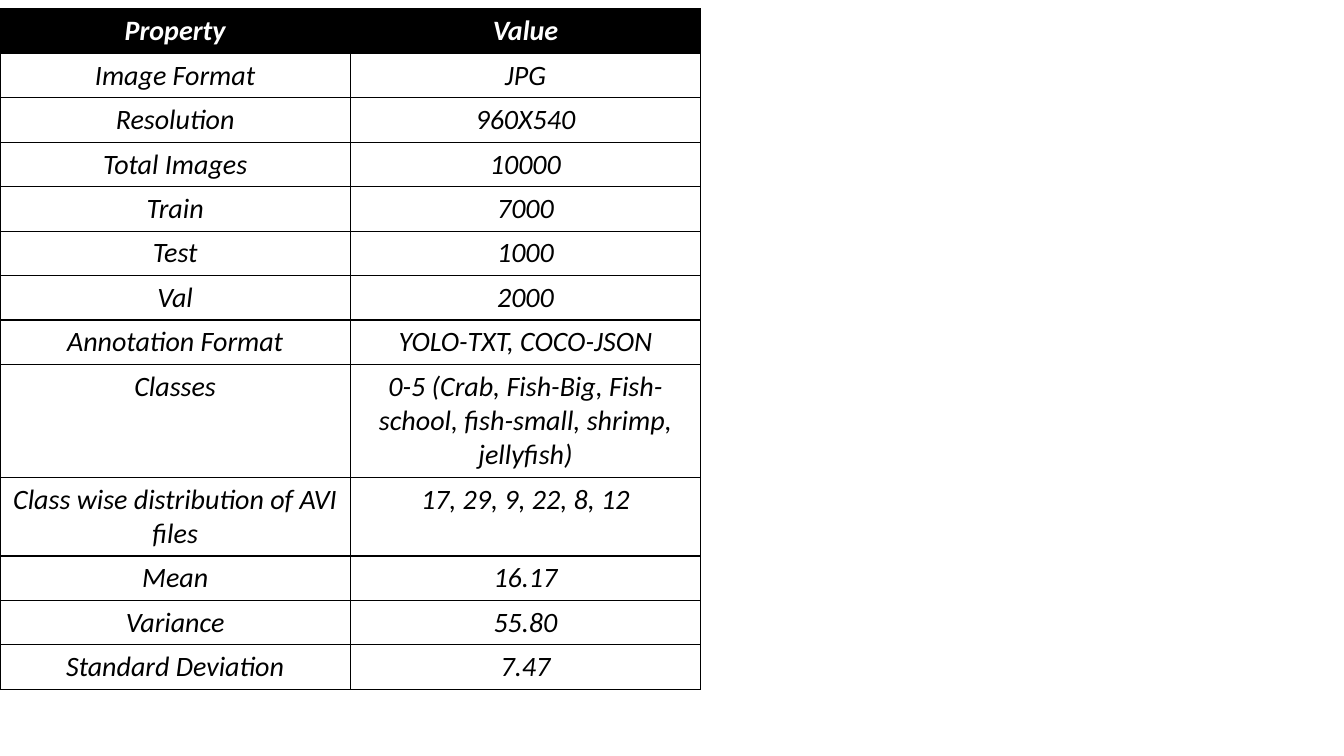
from lxml.etree import SubElement
from pptx import Presentation
from pptx.dml.color import RGBColor
from pptx.enum.text import PP_ALIGN
from pptx.oxml.ns import qn
from pptx.util import Inches, Pt

BLACK = RGBColor(0, 0, 0)
WHITE = RGBColor(255, 255, 255)
ROW, TALL = Inches(0.41), Inches(0.71)

FACTS = [
    ("Property", "Value"),
    ("Image Format", "JPG"),
    ("Resolution", "960X540"),
    ("Total Images", "10000"),
    ("Train", "7000"),
    ("Test", "1000"),
    ("Val", "2000"),
    ("Annotation Format", "YOLO-TXT, COCO-JSON"),
    ("Classes", "0-5 (Crab, Fish-Big, Fish-school, fish-small, shrimp, jellyfish)"),
    ("Class wise distribution of AVI files", "17, 29, 9, 22, 8, 12"),
    ("Mean", "16.17"),
    ("Variance", "55.80"),
    ("Standard Deviation", "7.47"),
]


def add_edges(cell):
    """Draw a thin black line on all four sides, ahead of the fill."""
    props = cell._tc.get_or_add_tcPr()
    for place, side in enumerate(("lnL", "lnR", "lnT", "lnB")):
        line = SubElement(props, qn(f"a:{side}"), w=str(Pt(1)))
        fill = SubElement(line, qn("a:solidFill"))
        SubElement(fill, qn("a:srgbClr"), val=str(BLACK))
        props.insert(place, line)


def fill_cell(cell, text, head):
    cell.fill.solid()
    cell.fill.fore_color.rgb = BLACK if head else WHITE
    cell.text = text
    para = cell.text_frame.paragraphs[0]
    para.alignment = PP_ALIGN.CENTER
    font = para.font
    font.name, font.size = "Calibri", Pt(20)
    font.bold, font.italic = head, True
    font.color.rgb = WHITE if head else BLACK
    add_edges(cell)


def add_facts(slide, left, top, width, height):
    """Place the table of dataset properties in the given box."""
    frame = slide.shapes.add_table(len(FACTS), 2, left, top, width, height)
    table = frame.table
    for r, facts in enumerate(FACTS):
        table.rows[r].height = TALL if facts[0] == "Classes" else ROW
        for c, text in enumerate(facts):
            fill_cell(table.cell(r, c), text, r == 0)
    frame.height = height


deck = Presentation()
deck.slide_width, deck.slide_height = Inches(13.33), Inches(7.5)
page = deck.slides.add_slide(deck.slide_layouts[6])

# Dataset table on the left half
add_facts(page, 0, Inches(0.09), Inches(6.95), Inches(6.63))

deck.save("out.pptx")
